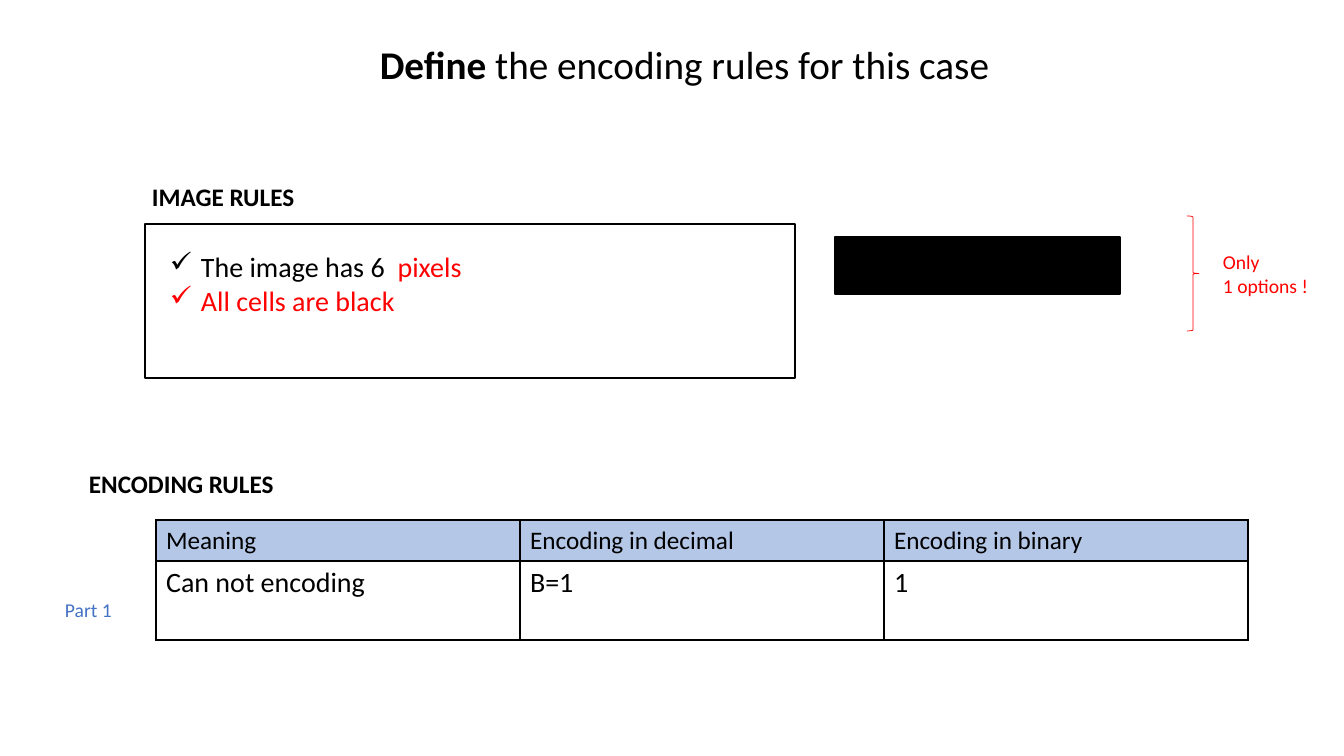
from lxml.etree import SubElement
from pptx import Presentation
from pptx.dml.color import RGBColor
from pptx.enum.shapes import MSO_SHAPE as Shape
from pptx.enum.text import MSO_AUTO_SIZE as AutoSize, PP_ALIGN as Align
from pptx.oxml.ns import qn
from pptx.util import Pt

BLACK = RGBColor(0x00, 0x00, 0x00)
RED = RGBColor(0xFF, 0x00, 0x00)
BLUE = RGBColor(0x44, 0x72, 0xC4)
HEADER_BLUE = RGBColor(0xB4, 0xC7, 0xE7)
EMU_PER_PX = 9144000 / 1008


def px(length):
    return round(length * EMU_PER_PX)


class SlideBuilder:
    font_name = "Calibri"

    def __init__(self, slide):
        self.shapes = slide.shapes

    def style(self, font, size, color, bold=False):
        font.name, font.size, font.bold = self.font_name, Pt(size), bold
        font.color.rgb = color

    def text(self, left, top, width, height, lines, size, color=BLACK,
             bold=False, align=Align.LEFT, wrap=False, bullet=None):
        """Each line is a list of (text, changes of style) spans."""
        box = self.shapes.add_textbox(*map(px, (left, top, width, height)))
        frame = box.text_frame
        frame.word_wrap = wrap
        frame.auto_size = AutoSize.SHAPE_TO_FIT_TEXT
        for index, spans in enumerate(lines):
            para = frame.add_paragraph() if index else frame.paragraphs[0]
            para.alignment = align
            if bullet:
                self.bullet(para, bullet)
            self.style(para.font, size, color, bold)
            for words, changes in spans:
                span = para.add_run()
                span.text = words
                self.style(span.font, size, changes.get("color", color),
                           changes.get("bold", bold))

    def bullet(self, para, mark):
        properties = para._p.get_or_add_pPr()
        properties.set("marL", str(px(31)))
        properties.set("indent", str(px(-31)))
        SubElement(properties, qn("a:buChar"), char=mark)

    def shape(self, kind, left, top, width, height, line, weight, fill=None):
        shape = self.shapes.add_shape(kind, *map(px, (left, top, width, height)))
        shape.shadow.inherit = False
        if fill is None:
            shape.fill.background()
        else:
            shape.fill.solid()
            shape.fill.fore_color.rgb = fill
        shape.line.color.rgb = line
        shape.line.width = Pt(weight)

    def table(self, left, top, column_width, row_heights, rows, sizes, fills):
        columns = len(rows[0])
        frame = self.shapes.add_table(len(rows), columns, px(left), px(top),
                                      px(column_width * columns), px(sum(row_heights)))
        table = frame.table
        table.first_row = table.horz_banding = False
        for column in table.columns:
            column.width = px(column_width)
        for row, height, words, size, fill in zip(table.rows, row_heights, rows, sizes, fills):
            row.height = px(height)
            for cell, word in zip(row.cells, words):
                cell.text = word
                self.style(cell.text_frame.paragraphs[0].font, size, BLACK)
                self.borders(cell)
                if fill is None:
                    cell.fill.background()
                else:
                    cell.fill.solid()
                    cell.fill.fore_color.rgb = fill

    def borders(self, cell):
        properties = cell._tc.get_or_add_tcPr()
        for side in ("a:lnL", "a:lnR", "a:lnT", "a:lnB"):
            line = SubElement(properties, qn(side), w=str(Pt(1)))
            paint = SubElement(line, qn("a:solidFill"))
            SubElement(paint, qn("a:srgbClr"), val=str(BLACK))


def main():
    deck = Presentation()
    deck.slide_width, deck.slide_height = px(1344), px(756)
    page = SlideBuilder(deck.slides.add_slide(deck.slide_layouts[6]))

    # Encoding table
    page.table(156, 520, 364, (41, 79),
               [("Meaning", "Encoding in decimal", "Encoding in binary"),
                ("Can not encoding", "B=1", "1")],
               sizes=(18, 20), fills=(HEADER_BLUE, None))
    page.text(55, 593, 68, 34, [[("Part 1", {})]], 14, BLUE)

    # Title and headings
    page.text(302, 35, 765, 57,
              [[("Define", {"bold": True}), (" the encoding rules for this case", {})]],
              28, align=Align.CENTER, wrap=True)
    page.text(79, 463, 208, 40, [[("ENCODING RULES", {})]], 18, bold=True)
    page.text(142, 176, 164, 40, [[("IMAGE RULES", {})]], 18, bold=True)

    # Image rules
    page.text(160, 245, 316, 78,
              [[("The image has 6  ", {}), ("pixels", {"color": RED})],
               [("All cells are black", {"color": RED})]],
              20, bullet="✓")
    page.shape(Shape.RECTANGLE, 145, 224, 650, 154, BLACK, 1)

    # Row of black cells
    cell_size = 57
    for index in range(5):
        page.shape(Shape.RECTANGLE, 835 + index * cell_size, 237,
                   cell_size, cell_size, BLACK, 1, BLACK)

    # Brace and its remark
    page.shape(Shape.RIGHT_BRACE, 1187, 216, 12, 115, RED, 0.5)
    page.text(1213, 245, 106, 57, [[("Only", {})], [("1 options !", {})]], 14, RED)

    deck.save("out.pptx")


if __name__ == "__main__":
    main()
